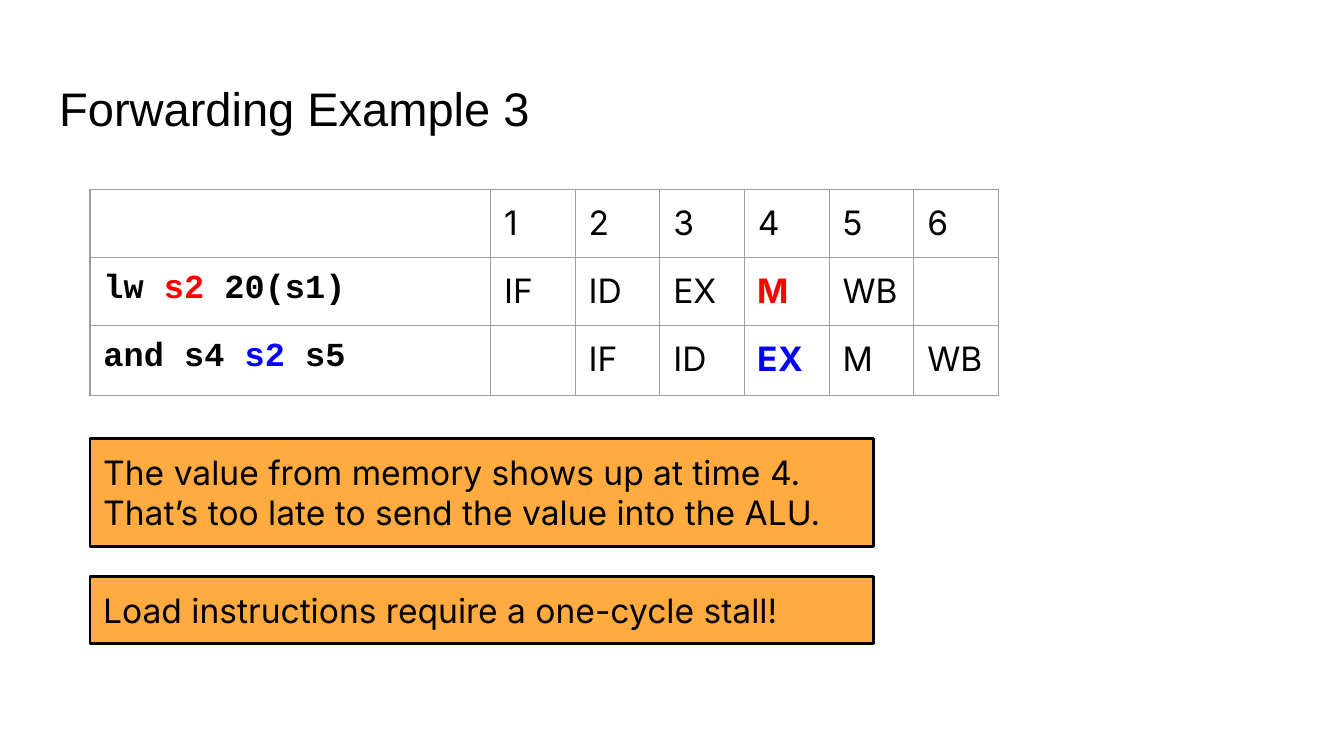
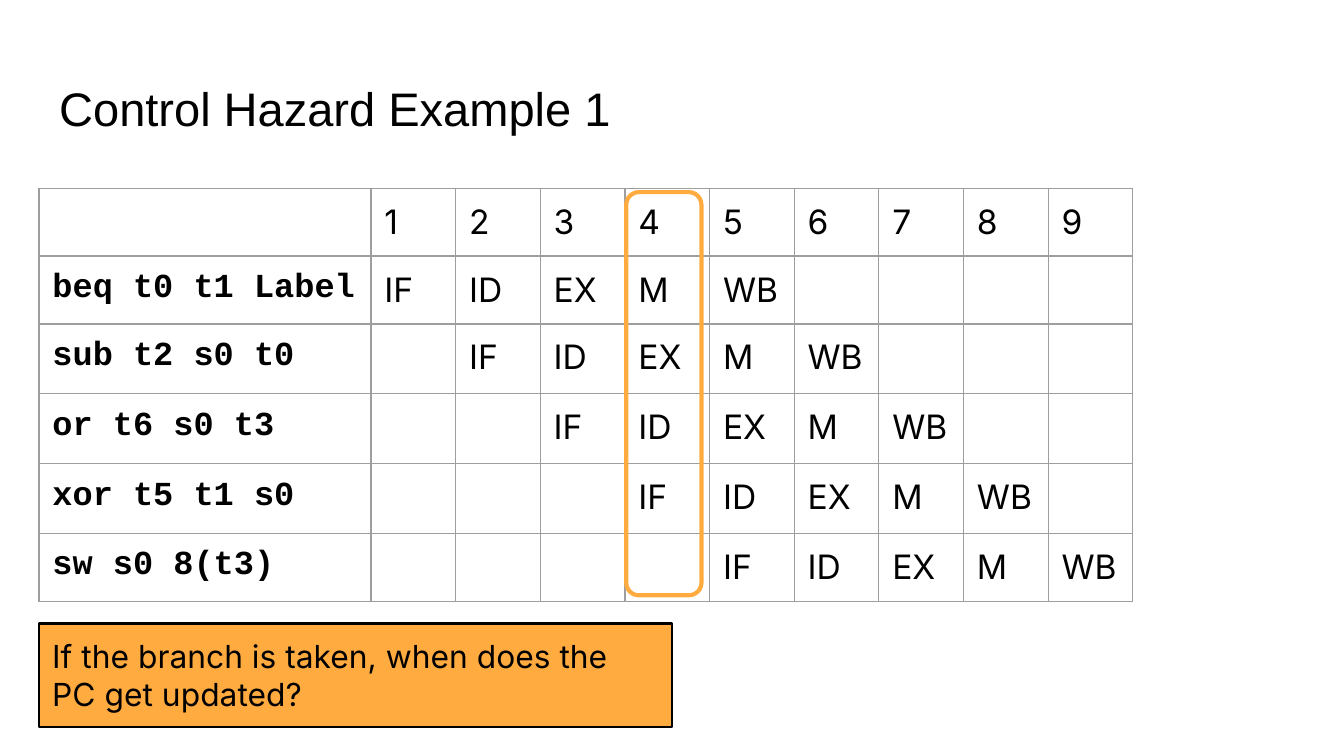
"""Two slides on pipeline hazards, each with a cycle chart of instructions and callouts."""
from lxml.etree import SubElement
from pptx import Presentation
from pptx.dml.color import RGBColor
from pptx.enum.shapes import MSO_SHAPE as Shape
from pptx.enum.text import MSO_ANCHOR as Anchor, MSO_AUTO_SIZE as AutoSize, PP_ALIGN as Align
from pptx.oxml.ns import qn
from pptx.util import Inches, Pt

BLACK = RGBColor(0x00, 0x00, 0x00)
RED = RGBColor(0xFF, 0x00, 0x00)
BLUE = RGBColor(0x00, 0x00, 0xFF)
ORANGE = RGBColor(0xFF, 0xAB, 0x40)
GRID_GREY = RGBColor(0x9E, 0x9E, 0x9E)

WIDTH = Inches(10)
HEIGHT = WIDTH * 9 // 16
CYCLE = Inches(0.63)
STAGES = ["IF", "ID", "EX", "M", "WB"]
INSETS = {f"margin_{side}": Inches(0.1) for side in ("left", "right", "top", "bottom")}
HEADING = {"name": "Arial", "size": Pt(25.2), "bold": False}
PLAIN = {"name": "Inter", "size": Pt(18), "bold": False}
STRONG = {**PLAIN, "bold": True}
CODE = {"name": "Courier New", "size": Pt(18), "bold": True}

SLIDES = [
    {
        "title": "Forwarding Example 3",
        "corner": (0.67, 1.41),
        "code_width": 2.98,
        "cycles": 6,
        "rows": [0.5, 0.5, 0.52],
        "program": [
            [("lw ", BLACK), ("s2", RED), (" 20(s1)", BLACK)],
            [("and s4 ", BLACK), ("s2", BLUE), (" s5", BLACK)],
        ],
        "marked": {(1, 4): RED, (2, 4): BLUE},
        "callout_width": 5.83,
        "callout_size": 18,
        "callouts": [
            (3.26, 0.81, "The value from memory shows up at time 4. "
                         "That’s too late to send the value into the ALU."),
            (4.29, 0.5, "Load instructions require a one-cycle stall!"),
        ],
        "highlight": None,
    },
    {
        "title": "Control Hazard Example 1",
        "corner": (0.29, 1.4),
        "code_width": 2.47,
        "cycles": 9,
        "rows": [0.5, 0.5, 0.52, 0.52, 0.52, 0.5],
        "program": [
            [("beq t0 t1 Label", BLACK)],
            [("sub t2 s0 t0", BLACK)],
            [("or t6 s0 t3", BLACK)],
            [("xor t5 t1 s0", BLACK)],
            [("sw s0 8(t3)", BLACK)],
        ],
        "marked": {},
        "callout_width": 4.71,
        "callout_size": 17,
        "callouts": [
            (4.64, 0.77, "If the branch is taken, when does the PC get updated?"),
        ],
        "highlight": 4,
    },
]


def write(frame, runs, style):
    paragraph = frame.paragraphs[0]
    paragraph.alignment = Align.LEFT
    for words, color in runs:
        run = paragraph.add_run()
        run.text = words
        run.font.color.rgb = color
        for key, value in style.items():
            setattr(run.font, key, value)


def rule_cell(cell):
    properties = cell._tc.get_or_add_tcPr()
    for edge in ("a:lnL", "a:lnR", "a:lnT", "a:lnB"):
        border = SubElement(properties, qn(edge), w=str(Pt(0.75)))
        fill = SubElement(border, qn("a:solidFill"))
        SubElement(fill, qn("a:srgbClr"), val=str(GRID_GREY))
    cell.fill.background()


deck = Presentation()
deck.slide_width, deck.slide_height = WIDTH, HEIGHT

for content in SLIDES:
    slide = deck.slides.add_slide(deck.slide_layouts[5])
    left, top = map(Inches, content["corner"])
    code_width = Inches(content["code_width"])
    cycles = content["cycles"]
    heights = [Inches(height) for height in content["rows"]]

    title = slide.shapes.title
    place = {"left": int(WIDTH * 0.034), "top": Inches(0.49),
             "width": int(WIDTH * 0.932), "height": Inches(0.63)}
    for key, value in place.items():
        setattr(title, key, value)
    for key, value in {**INSETS, "vertical_anchor": Anchor.TOP,
                       "auto_size": AutoSize.NONE, "word_wrap": True}.items():
        setattr(title.text_frame, key, value)
    write(title.text_frame, [(content["title"], BLACK)], HEADING)

    timeline = slide.shapes.add_table(
        len(heights), cycles + 1, left, top, code_width + cycles * CYCLE, sum(heights)).table
    timeline.first_row = timeline.horz_banding = False
    for column in timeline.columns:
        column.width = CYCLE
    timeline.columns[0].width = code_width
    for row, height in zip(timeline.rows, heights):
        row.height = height
    for cell in timeline.iter_cells():
        for key, value in {**INSETS, "vertical_anchor": Anchor.TOP}.items():
            setattr(cell, key, value)
        rule_cell(cell)

    for cycle in range(1, cycles + 1):
        write(timeline.cell(0, cycle).text_frame, [(str(cycle), BLACK)], PLAIN)
    for line, instruction in enumerate(content["program"], start=1):
        write(timeline.cell(line, 0).text_frame, instruction, CODE)
        for cycle, stage in enumerate(STAGES, start=line):
            color = content["marked"].get((line, cycle))
            write(timeline.cell(line, cycle).text_frame, [(stage, color or BLACK)],
                  STRONG if color else PLAIN)

    for callout_top, callout_height, words in content["callouts"]:
        callout = slide.shapes.add_shape(
            Shape.RECTANGLE, left, Inches(callout_top),
            Inches(content["callout_width"]), Inches(callout_height))
        callout.shadow.inherit = False
        callout.fill.solid()
        callout.fill.fore_color.rgb = ORANGE
        callout.line.color.rgb = BLACK
        callout.line.width = Pt(1.5)
        for key, value in {**INSETS, "vertical_anchor": Anchor.TOP, "word_wrap": True,
                           "auto_size": AutoSize.SHAPE_TO_FIT_TEXT}.items():
            setattr(callout.text_frame, key, value)
        write(callout.text_frame, [(words, BLACK)],
              {**PLAIN, "size": Pt(content["callout_size"])})

    if content["highlight"]:
        cycle_left = left + code_width + (content["highlight"] - 1) * CYCLE
        highlight = slide.shapes.add_shape(
            Shape.ROUNDED_RECTANGLE, cycle_left + Inches(0.01), top + Inches(0.03),
            Inches(0.56), sum(heights) - Inches(0.06))
        highlight.shadow.inherit = False
        highlight.fill.background()
        highlight.line.color.rgb = ORANGE
        highlight.line.width = Pt(2.25)

deck.save("out.pptx")
